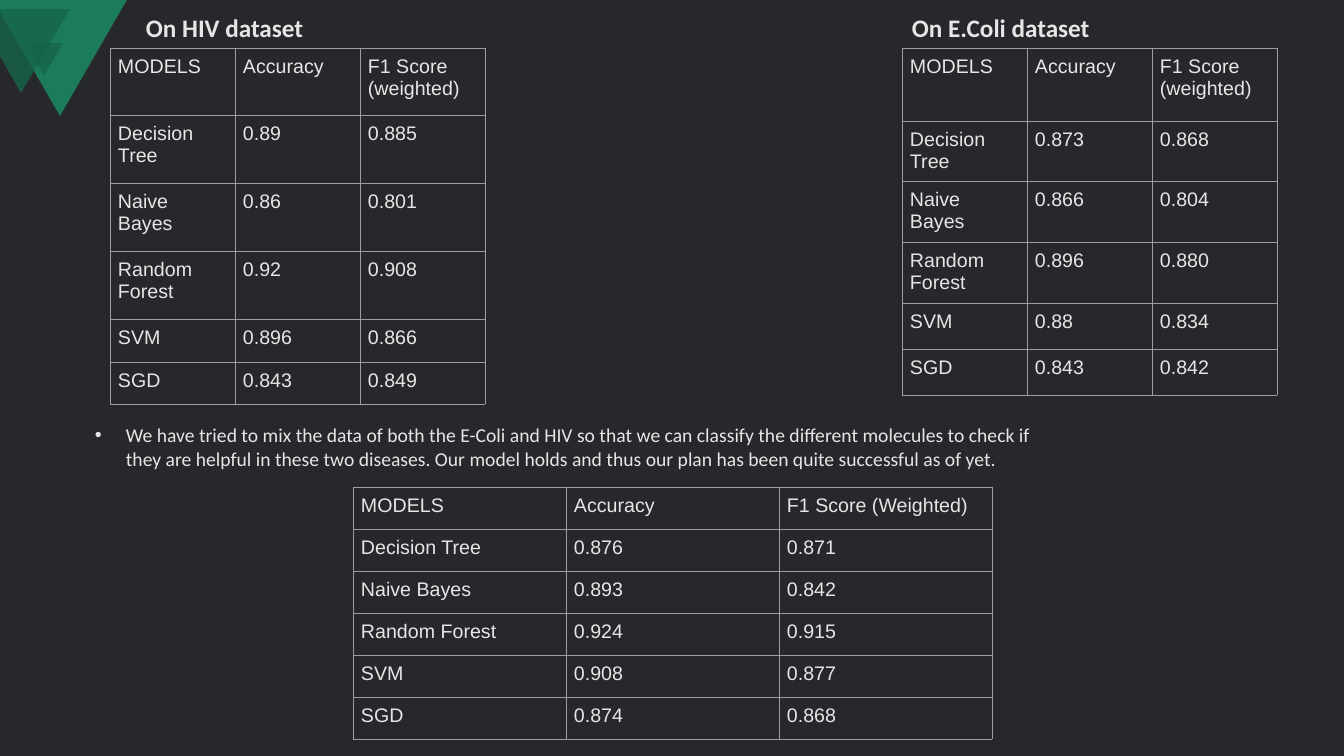
from lxml.etree import SubElement
from pptx import Presentation
from pptx.dml.color import RGBColor
from pptx.enum.shapes import MSO_SHAPE
from pptx.oxml.ns import qn
from pptx.util import Pt

BACKGROUND = RGBColor(0x27, 0x28, 0x2C)
TEXT = RGBColor(0xE7, 0xE6, 0xE6)
GREEN = RGBColor(0x1C, 0x7C, 0x5A)
DARK_GREEN = RGBColor(0x16, 0x65, 0x48)
BORDER = RGBColor(0x9E, 0x9E, 0x9E)

SCALE = 914400 / 100.8

LARGE_TRIANGLE = [(0, -2), (128, -2), (60, 116), (0, 12)]
MIDDLE_TRIANGLE = [(0, 9), (70, 9), (21, 93), (0, 56)]
SMALL_TRIANGLE = (25, 43, 38, 33)

HEADINGS = [
    ("On HIV dataset", (136, 7, 179, 40)),
    ("On E.Coli dataset", (902, 7, 200, 40)),
]
SUMMARY = (
    "We have tried to mix the data of both the E-Coli and HIV so that we can "
    "classify the different molecules to check if they are helpful in these two "
    "diseases. Our model holds and thus our plan has been quite successful as of yet."
)
SUMMARY_FRAME = (85, 418, 995, 89)
BULLET_INDENT = 31

MODELS = ["Decision Tree", "Naive Bayes", "Random Forest", "SVM", "SGD"]
RESULTS = [
    {
        "origin": (110, 48), "column": 125, "rows": [67, 68, 68, 68, 43, 42],
        "score": "F1 Score (weighted)",
        "values": [("0.89", "0.885"), ("0.86", "0.801"), ("0.92", "0.908"),
                   ("0.896", "0.866"), ("0.843", "0.849")],
    },
    {
        "origin": (902, 48), "column": 125, "rows": [73, 60, 61, 61, 46, 46],
        "score": "F1 Score (weighted)",
        "values": [("0.873", "0.868"), ("0.866", "0.804"), ("0.896", "0.880"),
                   ("0.88", "0.834"), ("0.843", "0.842")],
    },
    {
        "origin": (353, 487), "column": 213, "rows": [42] * 6,
        "score": "F1 Score (Weighted)",
        "values": [("0.876", "0.871"), ("0.893", "0.842"), ("0.924", "0.915"),
                   ("0.908", "0.877"), ("0.874", "0.868")],
    },
]


def px(length):
    return round(length * SCALE)


def paint(shape, color, opacity=100):
    shape.shadow.inherit = False
    shape.line.fill.background()
    shape.fill.solid()
    shape.fill.fore_color.rgb = color
    if opacity < 100:
        tint = shape.fill._xPr.find(qn("a:solidFill"))[0]
        SubElement(tint, qn("a:alpha"), val=str(opacity * 1000))


def add_outline(page, points, color, opacity=100):
    builder = page.shapes.build_freeform(*points[0], scale=SCALE)
    builder.add_line_segments(points[1:], close=True)
    paint(builder.convert_to_shape(), color, opacity)


def style(paragraph, font, size, bold=False):
    paragraph.font.name = font
    paragraph.font.size = Pt(size)
    paragraph.font.bold = bold
    paragraph.font.color.rgb = TEXT


def add_text(page, text, frame, size, bold=False, wrap=True):
    box = page.shapes.add_textbox(*map(px, frame))
    box.text_frame.word_wrap = wrap
    paragraph = box.text_frame.paragraphs[0]
    paragraph.text = text
    style(paragraph, "Calibri", size, bold)
    return paragraph


def add_bullet(paragraph):
    properties = paragraph._p.get_or_add_pPr()
    properties.set("marL", str(px(BULLET_INDENT)))
    properties.set("indent", str(-px(BULLET_INDENT)))
    marker = SubElement(properties, qn("a:buFont"), typeface="Arial")
    marker.addnext(properties.makeelement(qn("a:buChar"), {"char": "•"}))
    properties.append(properties.find(qn("a:defRPr")))


def fill_cell(cell, text):
    cell.text = text
    cell.margin_left = cell.margin_right = px(8)
    cell.margin_top = cell.margin_bottom = px(8)
    style(cell.text_frame.paragraphs[0], "Arial", 14)
    properties = cell._tc.get_or_add_tcPr()
    for side in ("lnL", "lnR", "lnT", "lnB"):
        line = SubElement(properties, qn(f"a:{side}"), w=str(Pt(0.6)))
        solid = SubElement(line, qn("a:solidFill"))
        SubElement(solid, qn("a:srgbClr"), val=str(BORDER))
    cell.fill.background()


def add_results(page, result):
    lines = [("MODELS", "Accuracy", result["score"])]
    lines += [(model, *scores) for model, scores in zip(MODELS, result["values"])]
    left, top = result["origin"]
    columns = len(lines[0])
    size = (columns * result["column"], sum(result["rows"]))
    table = page.shapes.add_table(
        len(lines), columns, *map(px, (left, top, *size))
    ).table
    table.first_row = table.horz_banding = False
    for column in table.columns:
        column.width = px(result["column"])
    for row, height, line in zip(table.rows, result["rows"], lines):
        row.height = px(height)
        for cell, text in zip(row.cells, line):
            fill_cell(cell, text)


def main():
    deck = Presentation()
    deck.slide_width, deck.slide_height = px(1344), px(756)
    page = deck.slides.add_slide(deck.slide_layouts[6])
    page.background.fill.solid()
    page.background.fill.fore_color.rgb = BACKGROUND

    add_outline(page, LARGE_TRIANGLE, GREEN)
    small = page.shapes.add_shape(MSO_SHAPE.ISOSCELES_TRIANGLE, *map(px, SMALL_TRIANGLE))
    small.rotation = 180
    paint(small, DARK_GREEN, 80)
    add_outline(page, MIDDLE_TRIANGLE, DARK_GREEN, 80)

    for result in RESULTS:
        add_results(page, result)
    for heading, frame in HEADINGS:
        add_text(page, heading, frame, 18, bold=True, wrap=False)
    add_bullet(add_text(page, SUMMARY, SUMMARY_FRAME, 14))

    deck.save("out.pptx")


if __name__ == "__main__":
    main()
